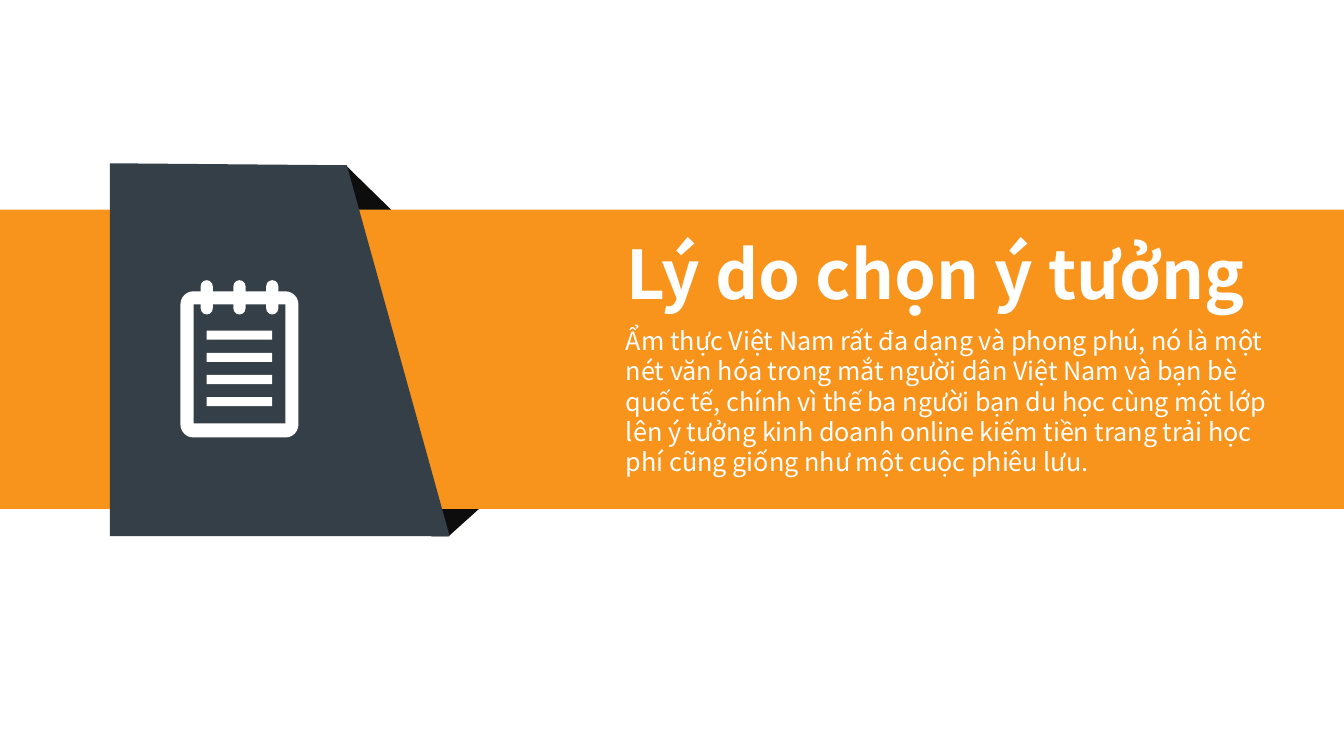
from pptx import Presentation
from pptx.dml.color import RGBColor
from pptx.enum.shapes import MSO_SHAPE
from pptx.enum.text import MSO_ANCHOR, PP_ALIGN
from pptx.util import Inches, Pt

RECT, ROUNDED = MSO_SHAPE.RECTANGLE, MSO_SHAPE.ROUNDED_RECTANGLE
RIGHT_TRIANGLE = MSO_SHAPE.RIGHT_TRIANGLE
TOP, LEFT = MSO_ANCHOR.TOP, PP_ALIGN.LEFT

WHITE = RGBColor(0xFF, 0xFF, 0xFF)
ORANGE = RGBColor(0xF8, 0x94, 0x1C)
SLATE = RGBColor(0x35, 0x3F, 0x48)
BLACK = RGBColor(0x0D, 0x0D, 0x0D)

FONT = "Noto Sans CJK SC"
TITLE = "Lý do chọn ý tưởng"
BODY = (
    "Ẩm thực Việt Nam rất đa dạng và phong phú, nó là một nét văn hóa trong "
    "mắt người dân Việt Nam và bạn bè quốc tế, chính vì thế ba người bạn du "
    "học cùng một lớp lên ý tưởng kinh doanh online kiếm tiền trang trải học "
    "phí cũng giống như một cuộc phiêu lưu."
)


def paint(sp, color):
    sp.shadow.inherit = False
    sp.fill.solid()
    sp.fill.fore_color.rgb = color
    sp.line.fill.background()


def add_block(shapes, kind, box, color, radius=None):
    sp = shapes.add_shape(kind, *map(Inches, box))
    paint(sp, color)
    if radius is not None:
        sp.adjustments[0] = radius
    return sp


def add_outline(shapes, points, color):
    start, *rest = [(Inches(x), Inches(y)) for x, y in points]
    builder = shapes.build_freeform(*start, scale=1.0)
    builder.add_line_segments(rest, close=True)
    paint(builder.convert_to_shape(), color)


def set_text(sp, box, text, size, bold=False):
    sp.left, sp.top, sp.width, sp.height = map(Inches, box)
    tf = sp.text_frame
    tf.word_wrap = True
    tf.vertical_anchor = TOP
    p = tf.paragraphs[0]
    p.alignment = LEFT
    p.line_spacing = 1.0
    r = p.add_run()
    r.text = text
    for name, value in {"name": FONT, "size": Pt(size), "bold": bold}.items():
        setattr(r.font, name, value)
    r.font.color.rgb = WHITE


def add_notepad(s):
    icon = s.shapes.add_group_shape().shapes
    # Page frame
    add_block(icon, ROUNDED, (1.79, 2.89, 1.17, 1.45), WHITE, 0.11)
    add_block(icon, RECT, (1.92, 3.02, 0.91, 1.18), SLATE)
    # Binding rings
    for i in range(3):
        add_block(icon, ROUNDED, (1.99 + 0.325 * i, 2.78, 0.12, 0.34), WHITE, 0.5)
    # Written lines
    for i in range(4):
        add_block(icon, RECT, (2.05, 3.28 + 0.22 * i, 0.65, 0.09), WHITE)


def main():
    prs = Presentation()
    prs.slide_width, prs.slide_height = Inches(13.33), Inches(7.5)
    s = prs.slides.add_slide(prs.slide_layouts[5])

    # Folded ends, band and front panel
    add_outline(s.shapes, [(4.3, 5.03), (4.75, 5.05), (4.45, 5.32), (4.28, 5.32)], BLACK)
    add_block(s.shapes, RIGHT_TRIANGLE, (3.43, 1.64, 0.46, 0.45), BLACK)
    add_block(s.shapes, RECT, (0, 2.08, 13.33, 2.97), ORANGE)
    add_outline(s.shapes, [(1.09, 1.62), (3.44, 1.64), (4.46, 5.32), (1.09, 5.32)], SLATE)

    # Title, moved in front of the band
    title = s.shapes.title
    s.shapes._spTree.append(title._element)
    set_text(title, (6.11, 2.25, 6.95, 0.91), TITLE, 48, bold=True)

    # Body text
    body_box = (6.11, 3.18, 6.68, 1.61)
    body = s.shapes.add_textbox(*map(Inches, body_box))
    set_text(body, body_box, BODY, 18)

    add_notepad(s)
    prs.save("out.pptx")


if __name__ == "__main__":
    main()
